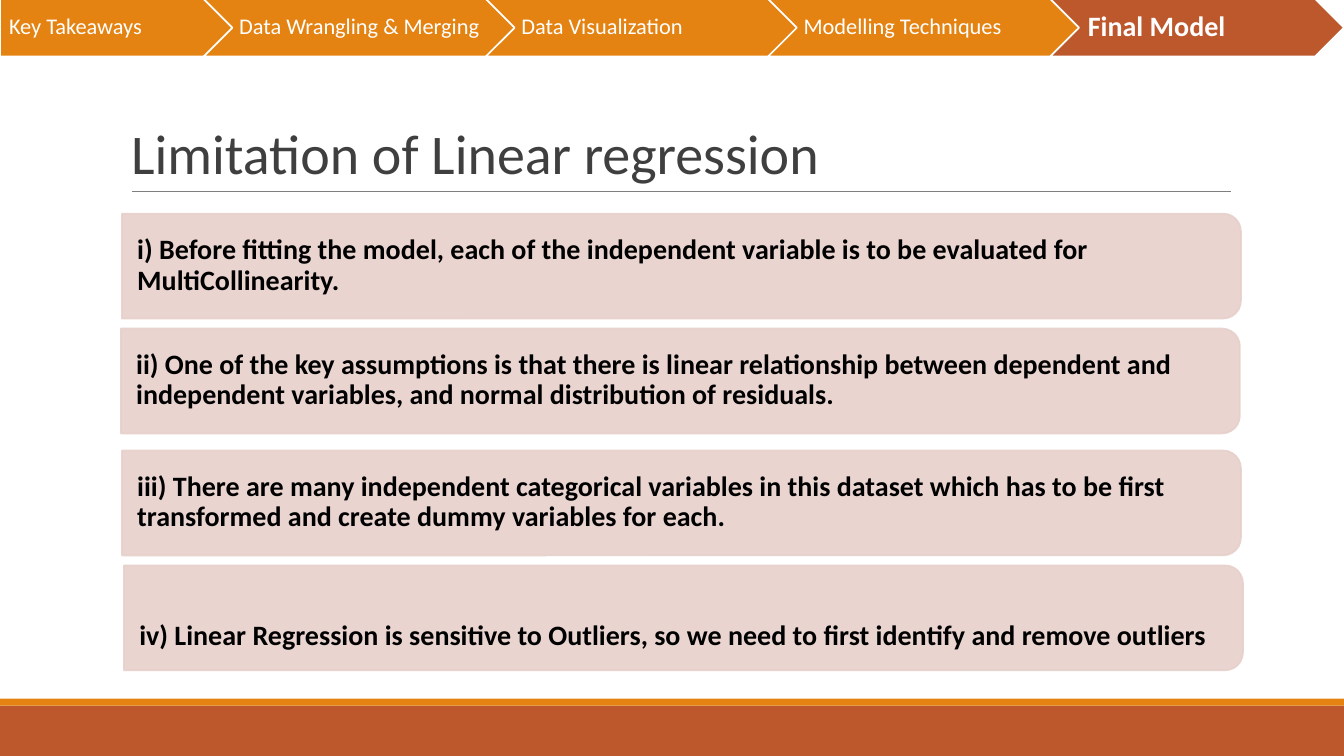
import lxml.etree
import pptx
import pptx.dml.color
import pptx.enum.shapes
import pptx.enum.text
import pptx.oxml.ns
import pptx.util

WIDTH, HEIGHT = 13.33, 7.5
ORANGE, RUST, BLUSH, WHITE = "E48312", "BD582C", "E7D0CB", "FFFFFF"
SHAPE = pptx.enum.shapes.MSO_SHAPE
ANCHOR = pptx.enum.text.MSO_ANCHOR
ALIGN = pptx.enum.text.PP_ALIGN

NAV_TOP, NAV_HEIGHT = -0.13, 7.6
NAV_START, NAV_STEP, NAV_NOTCH = 15.15, 21, 2.12
STEPS = ["Data Wrangling & Merging", "Data Visualization", "Modelling Techniques"]

PANEL_WIDTH, PANEL_HEIGHT = 83.25, 13.87
LIMITATIONS = [
    (9.08, 28.27, "i) Before fitting the model, each of the independent variable "
     "is to be evaluated for MultiCollinearity.", {}),
    (9, 43.47, "ii) One of the key assumptions is that there is linear relationship "
     "between dependent and independent variables, and normal distribution of residuals.", {}),
    (9.08, 59.6, "iii) There are many independent categorical variables in this dataset "
     "which has to be first transformed and create dummy variables for each.", {}),
    (9.23, 74.8, "iv) Linear Regression is sensitive to Outliers, so we need to first "
     "identify and remove outliers", {"spacing": 2, "align": ALIGN.JUSTIFY}),
]


def across(percent):
    return pptx.util.Inches(WIDTH * percent / 100)


def down(percent):
    return pptx.util.Inches(HEIGHT * percent / 100)


def box(left, top, width, height):
    return across(left), down(top), across(width), down(height)


def rgb(color):
    return pptx.dml.color.RGBColor.from_string(color)


def set_alpha(fill_format, percent):
    for clr in fill_format.iter(pptx.oxml.ns.qn("a:srgbClr")):
        alpha = lxml.etree.SubElement(clr, pptx.oxml.ns.qn("a:alpha"))
        alpha.set("val", str(percent * 1000))


def add_block(slide, kind, bounds, fill, line=None):
    sp = slide.shapes.add_shape(kind, *bounds)
    sp.shadow.inherit = False
    sp.fill.solid()
    sp.fill.fore_color.rgb = rgb(fill)
    if line:
        sp.line.color.rgb = rgb(line)
        sp.line.width = pptx.util.Pt(1.25)
    else:
        sp.line.fill.background()
    return sp


def write(sp, text, size=20, color="000000", bold=False, spacing=0.9,
          align=ALIGN.LEFT, anchor=ANCHOR.MIDDLE, insets=(0.08, 0.04, 0.08, 0.04)):
    tf = sp.text_frame
    tf.word_wrap = True
    tf.auto_size = pptx.enum.text.MSO_AUTO_SIZE.NONE
    tf.vertical_anchor = anchor
    tf.margin_left, tf.margin_top, tf.margin_right, tf.margin_bottom = map(
        pptx.util.Inches, insets)
    p = tf.paragraphs[0]
    p.alignment = align
    p.line_spacing = spacing
    r = p.add_run()
    r.text = text
    r.font.name = "Calibri"
    r.font.size = pptx.util.Pt(size)
    r.font.bold = bold
    r.font.color.rgb = rgb(color)


def add_text(slide, bounds, text, **style):
    write(slide.shapes.add_textbox(*bounds), text, **style)


def add_title(slide, text):
    sp = slide.shapes.title
    sp.left, sp.top, sp.width, sp.height = box(9, 14.4, 82.5, 10.93)
    write(sp, text, size=40, color="3F3F3F", spacing=0.85,
          anchor=ANCHOR.BOTTOM, insets=(0.1, 0.05, 0.1, 0.05))


def add_rule(slide, left, right, top):
    line = slide.shapes.add_connector(
        pptx.enum.shapes.MSO_CONNECTOR.STRAIGHT,
        across(left), down(top), across(right), down(top))
    line.line.color.rgb = rgb("7F7F7F")
    line.line.width = pptx.util.Pt(0.75)
    lxml.etree.SubElement(line._element.spPr, pptx.oxml.ns.qn("a:effectLst"))


def add_step(slide, kind, left, width, text_left, text_width, text, fill=ORANGE, **style):
    add_block(slide, kind, box(left, NAV_TOP, width, NAV_HEIGHT), fill, WHITE)
    add_text(slide, box(text_left, NAV_TOP, text_width, NAV_HEIGHT), text,
             color=WHITE, **style)


def add_chevron(slide, column, width, text, **style):
    left = NAV_START + column * NAV_STEP
    add_step(slide, SHAPE.CHEVRON, left, width, left + NAV_NOTCH,
             width - 2 * NAV_NOTCH, text, **style)


def add_navigation(slide):
    add_step(slide, SHAPE.PENTAGON, 0, 20.4, 0, 19.28, "Key Takeaways",
             size=16, insets=(0.09, 0.05, 0.02, 0.05))
    for column, text in enumerate(STEPS):
        add_chevron(slide, column, 26.25, text, size=16, insets=(0.07, 0.05, 0.02, 0.05))
    add_chevron(slide, len(STEPS), 21.85, "Final Model", fill=RUST, bold=True,
                insets=(0.09, 0.06, 0.03, 0.06))


def add_panel(slide, left, top, text, style):
    x, y, length, thickness = box(left, top, PANEL_WIDTH, PANEL_HEIGHT)
    shift = (length - thickness) // 2
    sp = add_block(slide, SHAPE.ROUND_2_SAME_RECTANGLE,
                   (x + shift, y - shift, thickness, length), BLUSH, BLUSH)
    sp.rotation = 90
    sp.adjustments[0] = 0.17
    sp.adjustments[1] = 0
    set_alpha(sp._element.spPr, 90)
    add_text(slide, box(left + 0.53, top + 0.7, 82.8, 12.4), text, bold=True, **style)


def main():
    prs = pptx.Presentation()
    prs.slide_width = pptx.util.Inches(WIDTH)
    prs.slide_height = pptx.util.Inches(HEIGHT)
    slide = prs.slides.add_slide(prs.slide_layouts.get_by_name("Title Only"))
    add_block(slide, SHAPE.RECTANGLE, box(0, 93.33, 100, 6.67), RUST)
    add_block(slide, SHAPE.RECTANGLE, box(0, 92.4, 100, 0.93), ORANGE)
    add_rule(slide, 9.83, 91.6, 25.33)
    add_title(slide, "Limitation of Linear regression")
    add_navigation(slide)
    for left, top, text, style in LIMITATIONS:
        add_panel(slide, left, top, text, style)
    prs.save("out.pptx")


if __name__ == "__main__":
    main()
